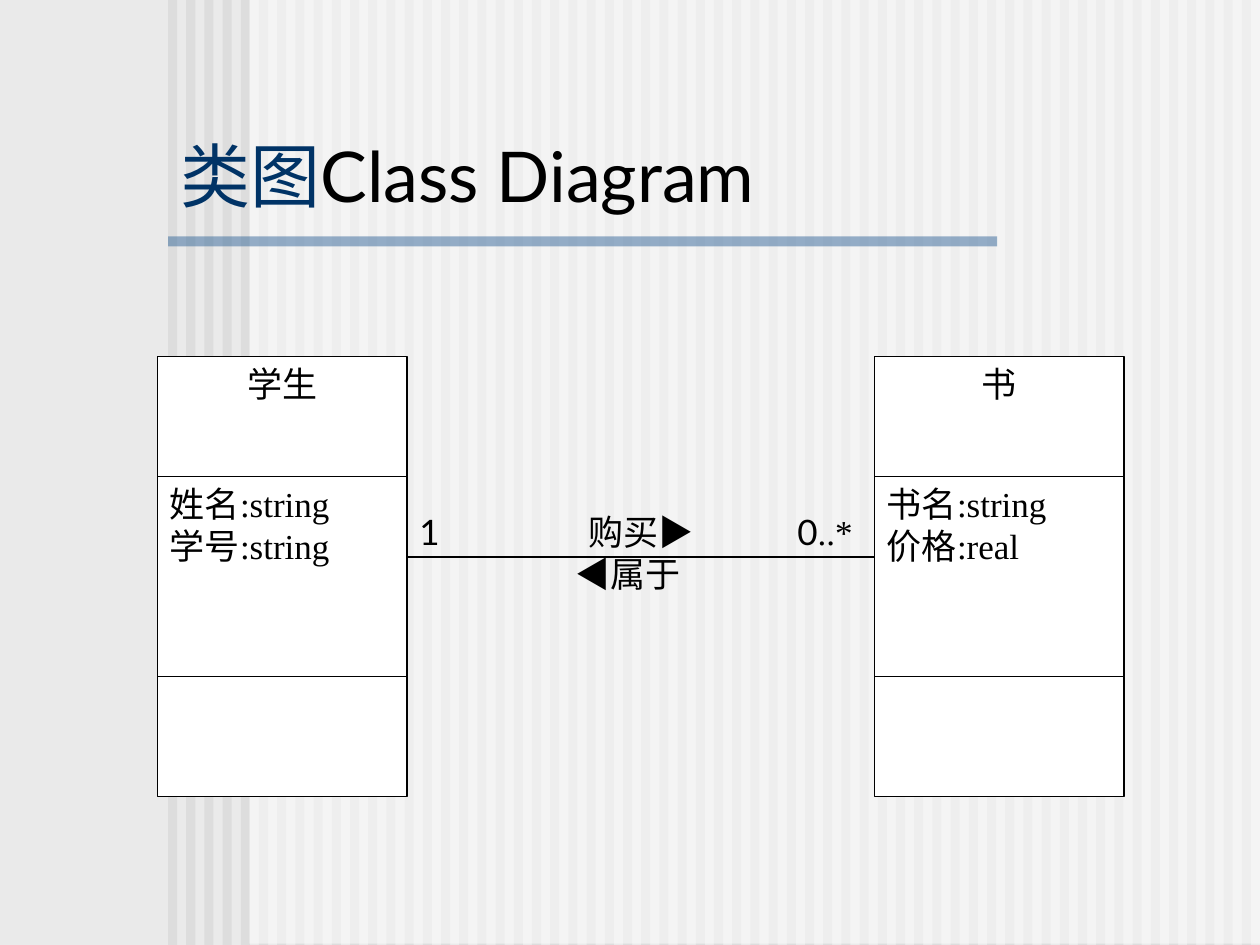
from lxml import etree
from pptx import Presentation
from pptx.dml.color import RGBColor
from pptx.enum.shapes import MSO_CONNECTOR, MSO_SHAPE
from pptx.enum.text import MSO_ANCHOR, PP_ALIGN
from pptx.oxml.ns import qn
from pptx.util import Inches, Pt

RECTANGLE = MSO_SHAPE.RECTANGLE
STRAIGHT = MSO_CONNECTOR.STRAIGHT
TOP, BOTTOM = MSO_ANCHOR.TOP, MSO_ANCHOR.BOTTOM
LEFT, CENTER, JUSTIFY = PP_ALIGN.LEFT, PP_ALIGN.CENTER, PP_ALIGN.JUSTIFY

COLORS = {
    "background": "EAEAEA", "stripe": "DDDDDD", "white": "FFFFFF",
    "rule": "336699", "title": "003366", "ink": "000000",
}
SERIF, SANS, CJK = "Times New Roman", "Lato", "Arial"


def add_box(left, top, width, height, fill, alpha=None, outline=None):
    """Add a plain rectangle, measured in inches."""
    box = page.shapes.add_shape(RECTANGLE, Inches(left), Inches(top),
                                Inches(width), Inches(height))
    box.shadow.inherit = False
    box.fill.solid()
    box.fill.fore_color.rgb = RGBColor.from_string(COLORS[fill])
    if alpha:
        color = box.element.spPr.find(qn("a:solidFill"))[0]
        etree.SubElement(color, qn("a:alpha"), val=str(alpha * 1000))
    if outline:
        box.line.color.rgb = RGBColor.from_string(COLORS[outline])
        box.line.width = Pt(0.75)
    else:
        box.line.fill.background()
    return box


def write(frame, lines, size=20, align=LEFT, anchor=TOP, tabs=()):
    """Fill a frame; a line is a list of (text, font, color), tabs one list per line."""
    frame.word_wrap = True
    frame.vertical_anchor = anchor
    for row, line in enumerate(lines):
        para = frame.paragraphs[0] if row == 0 else frame.add_paragraph()
        para.alignment = align
        if tabs:
            stops = etree.SubElement(para._p.get_or_add_pPr(), qn("a:tabLst"))
            for stop in tabs[row]:
                etree.SubElement(stops, qn("a:tab"), pos=str(Inches(stop)), algn="l")
        for text, font, color in line:
            span = para.add_run()
            span.text = text
            span.font.name = font
            span.font.size = Pt(size)
            span.font.color.rgb = RGBColor.from_string(COLORS[color])


deck = Presentation()
WIDTH, HEIGHT = 10, 7.5
deck.slide_width, deck.slide_height = Inches(WIDTH), Inches(HEIGHT)
page = deck.slides.add_slide(deck.slide_layouts[5])
page.background.fill.solid()
page.background.fill.fore_color.rgb = RGBColor.from_string(COLORS["background"])

# Striped backdrop with a pale panel and the title rule
MARGIN = WIDTH * 2 / 15
STRIPES = 60
pitch = (WIDTH - MARGIN) / STRIPES
for index in range(STRIPES):
    add_box(MARGIN + index * pitch, 0, pitch / 2, HEIGHT, "stripe")
add_box(1.98, -0.01, WIDTH - 1.98, HEIGHT, "white", alpha=50)
add_box(MARGIN, HEIGHT / 4, 6.58, 0.08, "rule", alpha=50)

# Title, brought in front of the backdrop
title = page.shapes.title
title.left, title.top = Inches(MARGIN), Inches(1.08)
title.width, title.height = Inches(7.33), Inches(0.69)
write(title.text_frame, [[("类图", CJK, "title"), ("Class Diagram", SANS, "ink")]],
      size=40, anchor=BOTTOM)
title.element.getparent().append(title.element)

# Class boxes: name, attributes and an empty operations compartment
CLASS_TOP, CLASS_WIDTH = 2.83, 1.98
COMPARTMENTS = [0.95, 1.59, 0.95]
STUDENT_LEFT, BOOK_LEFT = 1.25, 6.94
CLASSES = [
    (STUDENT_LEFT, "学生", ["姓名:string", "学号:string"]),
    (BOOK_LEFT, "书", ["书名:string", "价格:real"]),
]
for left, name, attributes in CLASSES:
    top = CLASS_TOP
    contents = [([name], CENTER), (attributes, JUSTIFY), ([], LEFT)]
    for height, (texts, align) in zip(COMPARTMENTS, contents):
        box = add_box(left, top, CLASS_WIDTH, height, "white", outline="ink")
        write(box.text_frame, [[(text, SERIF, "ink")] for text in texts], align=align)
        top += height

# Association line between the classes
line_left, line_y = STUDENT_LEFT + CLASS_WIDTH, 4.42
line = page.shapes.add_connector(STRAIGHT, Inches(line_left), Inches(line_y),
                                 Inches(BOOK_LEFT), Inches(line_y))
line.line.color.rgb = RGBColor.from_string(COLORS["ink"])
line.line.width = Pt(0.75)
etree.SubElement(line.element.spPr, qn("a:effectLst"))

# Multiplicities and role names, spaced by tab stops
labels = page.shapes.add_textbox(Inches(line_left), Inches(4),
                                 Inches(BOOK_LEFT - line_left), Inches(0.77))
write(labels.text_frame, [
    [("1\t购买", SANS, "ink"), ("▶", CJK, "ink"),
     ("\t0", SANS, "ink"), ("..*", SERIF, "ink")],
    [("\t", SANS, "ink"), ("◀", CJK, "ink"), ("属于", SANS, "ink")],
], tabs=[[1.34, 3], [1.24]])

deck.save("out.pptx")
